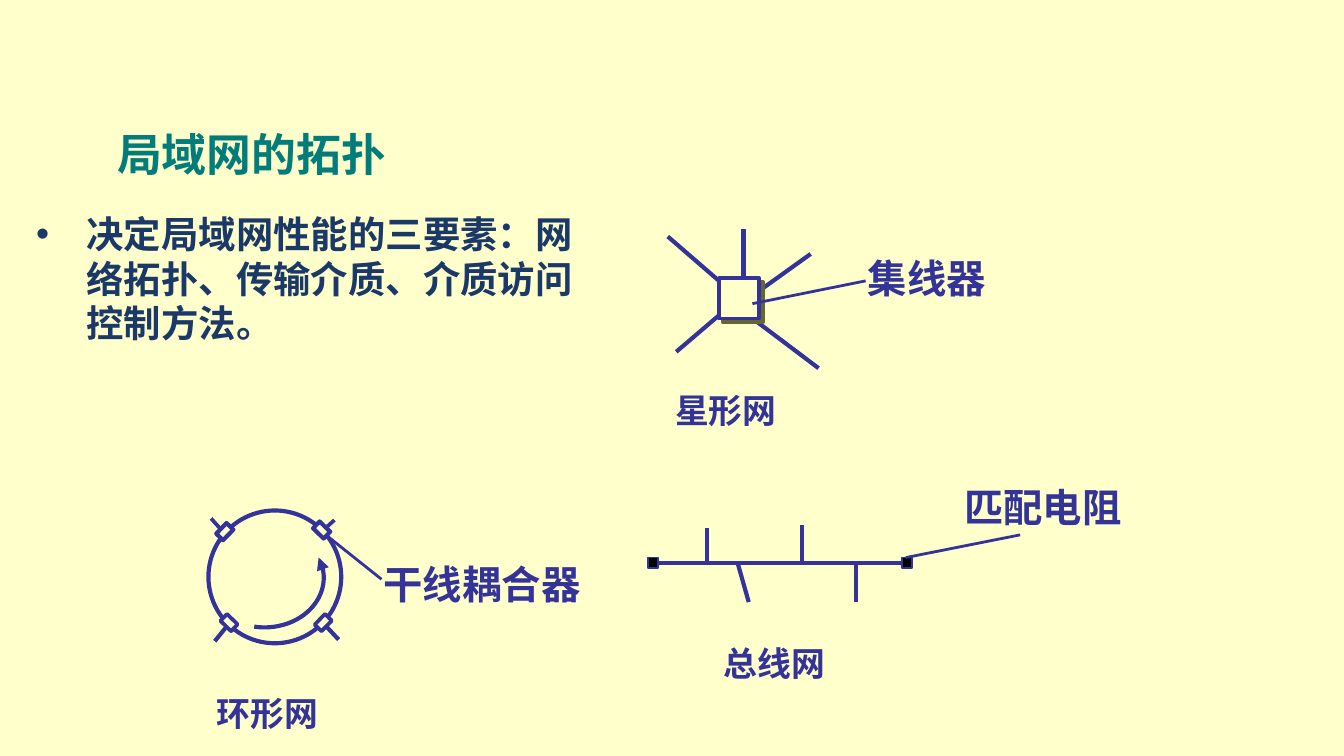
import math

from lxml import etree
from pptx import Presentation
from pptx.dml.color import RGBColor
from pptx.enum.shapes import MSO_CONNECTOR, MSO_SHAPE
from pptx.enum.text import MSO_ANCHOR, MSO_AUTO_SIZE, PP_ALIGN
from pptx.oxml import parse_xml
from pptx.oxml.ns import nsdecls, qn
from pptx.util import Cm, Pt

STRAIGHT = MSO_CONNECTOR.STRAIGHT
RECTANGLE = MSO_SHAPE.RECTANGLE
OVAL = MSO_SHAPE.OVAL
CENTER = PP_ALIGN.CENTER
MIDDLE = MSO_ANCHOR.MIDDLE
TOP = MSO_ANCHOR.TOP
FIT_SHAPE = MSO_AUTO_SIZE.SHAPE_TO_FIT_TEXT
NO_FIT = MSO_AUTO_SIZE.NONE
LEFT_SIDE, RIGHT_SIDE = 1, 3

SERIF = "Times New Roman"
SANS = "Noto Sans CJK SC"
COLORS = {
    "background": "FFFFCC",
    "title": "007D7A",
    "body": "1A3868",
    "ink": "333399",
    "shadow": "666633",
    "resistor": "000000",
}


def color(name):
    return RGBColor.from_string(COLORS[name])


def set_font(paragraph, name, size, color_name):
    paragraph.font.name = name
    paragraph.font.size = Pt(size)
    paragraph.font.bold = True
    paragraph.font.color.rgb = color(color_name)


def fill_placeholder(placeholder, box, text, font, size, color_name, anchor):
    placeholder.left, placeholder.top, placeholder.width, placeholder.height = map(Cm, box)
    frame = placeholder.text_frame
    frame.text = text
    frame.vertical_anchor = anchor
    frame.auto_size = NO_FIT
    paragraph = frame.paragraphs[0]
    paragraph.space_before = Pt(0)
    set_font(paragraph, font, size, color_name)
    return paragraph


def add_line(slide, x1, y1, x2, y2, width=2.25):
    line = slide.shapes.add_connector(STRAIGHT, Cm(x1), Cm(y1), Cm(x2), Cm(y2))
    line.line.color.rgb = color("ink")
    line.line.width = Pt(width)
    etree.SubElement(line._element.spPr, qn("a:effectLst"))
    return line


def add_node(slide, kind, left, top, width, height, line_width, fill="background"):
    node = slide.shapes.add_shape(kind, Cm(left), Cm(top), Cm(width), Cm(height))
    node.shadow.inherit = False
    node.fill.solid()
    node.fill.fore_color.rgb = color(fill)
    node.line.color.rgb = color("ink")
    node.line.width = Pt(line_width)
    return node


def add_label(slide, left, top, width, height, text, font, size):
    box = slide.shapes.add_textbox(Cm(left), Cm(top), Cm(width), Cm(height))
    frame = box.text_frame
    frame.word_wrap = False
    frame.auto_size = FIT_SHAPE
    frame.margin_left = frame.margin_right = Cm(0.19)
    frame.margin_top = frame.margin_bottom = Cm(0.1)
    frame.text = text
    set_font(frame.paragraphs[0], font, size, "ink")


def add_part_label(slide, left, top, width, text):
    add_label(slide, left, top, width, 1.09, text, SERIF, 21.1)


def add_network_name(slide, left, top, text):
    add_label(slide, left, top, 2.31, 0.97, text, SANS, 18.1)


def add_hard_shadow(shape):
    effects = shape._element.spPr.find(qn("a:effectLst"))
    effects.append(parse_xml(
        f'<a:outerShdw {nsdecls("a")} blurRad="0" dist="{Pt(2.8)}" dir="2700000" '
        f'algn="ctr" rotWithShape="0"><a:srgbClr val="{COLORS["shadow"]}"/></a:outerShdw>'))


def add_direction_arrow(slide, center_x, center_y, radius_x, radius_y):
    """Draw the elliptical arc with an arrowhead that shows the way round the ring."""
    points = [
        (Cm(center_x + radius_x * math.cos(math.radians(angle))),
         Cm(center_y + radius_y * math.sin(math.radians(angle))))
        for angle in range(100, -25, -4)
    ]
    builder = slide.shapes.build_freeform(*points[0])
    builder.add_line_segments(points[1:], close=False)
    arrow = builder.convert_to_shape()
    arrow.shadow.inherit = False
    arrow.fill.background()
    arrow.line.color.rgb = color("ink")
    arrow.line.width = Pt(2.25)
    etree.SubElement(arrow.line._get_or_add_ln(), qn("a:tailEnd"), type="triangle")


def draw_star(slide):
    for spoke in (
        (13.74, 5.44, 12.62, 4.47),
        (14.05, 5.44, 14.05, 4.32),
        (13.67, 5.89, 12.78, 6.65),
        (14.05, 5.89, 15.47, 6.96),
        (14.22, 5.59, 15.32, 4.8),
    ):
        add_line(slide, *spoke)
    hub = add_node(slide, RECTANGLE, 13.59, 5.26, 0.76, 0.76, 2)
    add_hard_shadow(hub)
    add_line(slide, 14.22, 5.74, 16.36, 5.31, 1.5)
    add_part_label(slide, 16.21, 4.7, 2.64, "集线器")
    add_network_name(slide, 12.57, 7.26, "星形网")


def draw_bus(slide):
    first, last = [
        add_node(slide, RECTANGLE, left, 10.54, 0.2, 0.2, 1, "resistor")
        for left in (12.24, 17.04)
    ]
    bus = add_line(slide, 12.44, 10.64, 17.04, 10.64)
    bus.begin_connect(first, RIGHT_SIDE)
    bus.end_connect(last, LEFT_SIDE)
    for x, end_x, end_y in (
        (13.36, 13.36, 9.98),
        (13.94, 14.15, 11.38),
        (15.16, 15.16, 9.93),
        (16.18, 16.18, 11.38),
    ):
        add_line(slide, x, 10.64, end_x, end_y)
    add_line(slide, 17.12, 10.54, 19.28, 10.11, 1.5)
    add_part_label(slide, 18.03, 9.04, 3.76, "匹配电阻")
    add_network_name(slide, 13.49, 12.04, "总线网")


def draw_ring(slide):
    for station in (
        (4.24, 10.08, 3.99, 9.8, 2),
        (6.32, 9.83, 6.1, 10.03, 2),
        (6.4, 12.09, 6.12, 11.79, 2.25),
        (4.27, 11.86, 4.06, 12.12, 2.25),
    ):
        add_line(slide, *station)
    add_node(slide, OVAL, 3.94, 9.65, 2.51, 2.51, 2.25)
    for coupler in (
        (4.11, 9.96, 0.28, 0.18, 2.25),
        (5.97, 11.68, 0.28, 0.18, 2),
        (5.99, 9.88, 0.18, 0.28, 2.25),
        (4.24, 11.63, 0.18, 0.28, 2),
    ):
        add_node(slide, RECTANGLE, *coupler).rotation = 314
    add_direction_arrow(slide, 5, 10.92, 1.12, 0.94)
    add_line(slide, 6.22, 10.16, 7.21, 10.95, 1.5)
    add_part_label(slide, 7.06, 10.49, 4.17, "干线耦合器")
    add_network_name(slide, 3.91, 13, "环形网")


def main():
    presentation = Presentation()
    presentation.slide_width = Cm(25.4)
    presentation.slide_height = Cm(14.29)
    slide = presentation.slides.add_slide(presentation.slide_layouts[1])
    slide.background.fill.solid()
    slide.background.fill.fore_color.rgb = color("background")

    title = fill_placeholder(slide.shapes.title, (0.53, 2.11, 8.64, 1.6),
                             "局域网的拓扑 ", SERIF, 24, "title", MIDDLE)
    title.alignment = CENTER
    fill_placeholder(slide.placeholders[1], (0.43, 3.86, 10.97, 2.82),
                     "决定局域网性能的三要素：网络拓扑、传输介质、介质访问控制方法。",
                     SANS, 20, "body", TOP)
    draw_star(slide)
    draw_bus(slide)
    draw_ring(slide)
    presentation.save("out.pptx")


if __name__ == "__main__":
    main()
